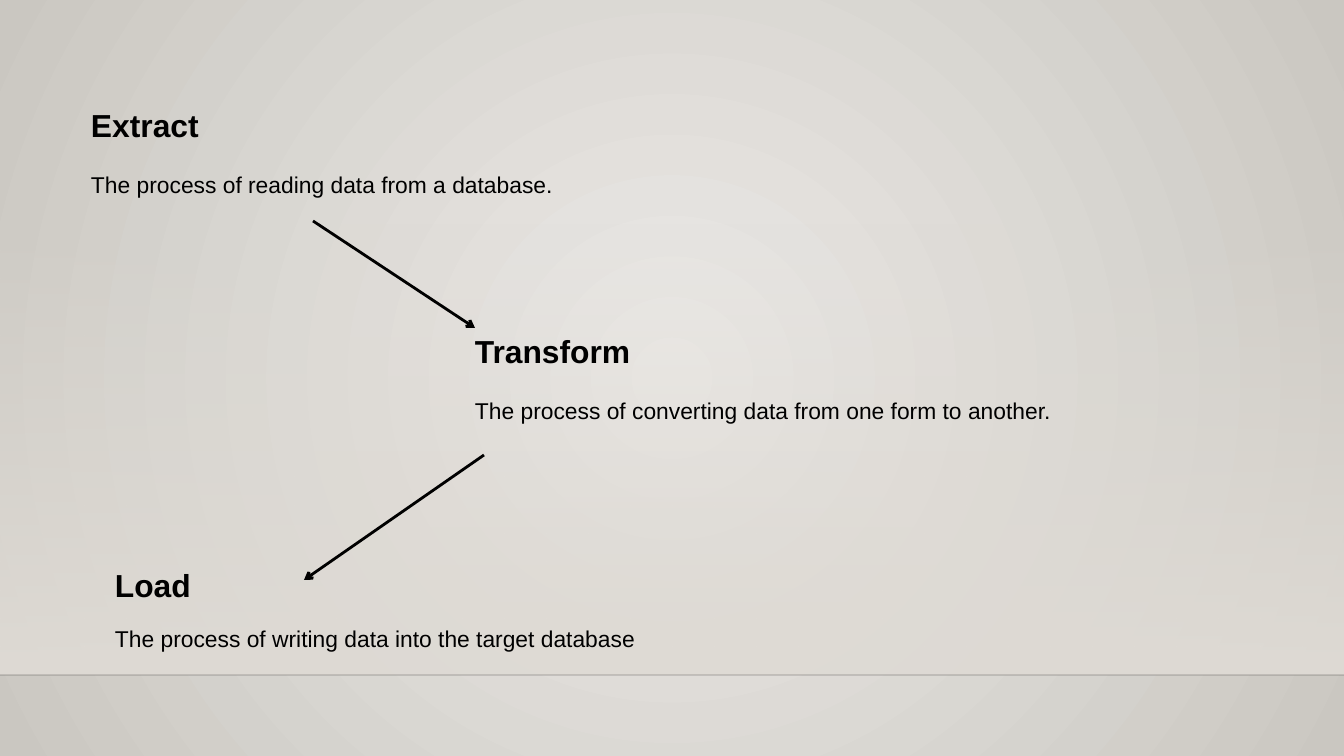
from dataclasses import dataclass

from lxml.etree import SubElement
from pptx import Presentation
from pptx.dml.color import RGBColor
from pptx.enum.shapes import MSO_CONNECTOR as Connector, MSO_SHAPE as Preset
from pptx.enum.text import MSO_AUTO_SIZE as AutoSize
from pptx.oxml import parse_xml
from pptx.oxml.ns import nsdecls, qn
from pptx.util import Emu, Pt

EMU_PER_PX = 914400 / 100.8
WIDTH, HEIGHT = 1344, 756
FLOOR_TOP, FLOOR_LINE = 223, 675
FONT, BLACK, SAND = "Arial", "000000", "DFDBD5"
HEADING_SIZE, DETAIL_SIZE, DETAIL_GAP = 22.7, 16.3, 18.7


@dataclass(frozen=True)
class Note:
    left: int
    top: int
    width: int
    height: int
    heading: str = ""
    detail: str = ""


@dataclass(frozen=True)
class Line:
    x1: int
    y1: int
    x2: int
    y2: int
    weight: float = 0
    opacity: int = 100
    arrow: bool = True


NOTES = [
    Note(82, 102, 485, 99, "Extract", "The process of reading data from a database."),
    Note(466, 328, 601, 99, "Transform", "The process of converting data from one form to another."),
    Note(106, 562, 95, 99, "Load"),
    Note(106, 621, 544, 35, detail="The process of writing data into the target database"),
]
ARROWS = [Line(313, 221, 475, 328), Line(484, 455, 304, 580)]


def px(length: int) -> Emu:
    return Emu(round(length * EMU_PER_PX))


def color(code: str) -> RGBColor:
    return RGBColor.from_string(code)


def gradient(start: str, end: str, direction: str, start_opacity: int = 100):
    return parse_xml(
        f'<a:gradFill {nsdecls("a")} rotWithShape="1"><a:gsLst>'
        f'<a:gs pos="0"><a:srgbClr val="{start}"><a:alpha val="{start_opacity * 1000}"/></a:srgbClr></a:gs>'
        f'<a:gs pos="100000"><a:srgbClr val="{end}"/></a:gs>'
        f"</a:gsLst>{direction}</a:gradFill>"
    )


def use_gradient(fill, parent, grad) -> None:
    fill.solid()
    solid = parent.find(".//" + qn("a:solidFill"))
    solid.getparent().replace(solid, grad)


def draw_background(page) -> None:
    center = '<a:path path="circle"><a:fillToRect l="50000" t="50000" r="50000" b="50000"/></a:path>'
    use_gradient(page.background.fill, page.element, gradient("ECEAE7", "CAC7C1", center))
    floor = page.shapes.add_shape(
        Preset.RECTANGLE, 0, px(FLOOR_TOP), px(WIDTH), px(FLOOR_LINE - FLOOR_TOP)
    )
    floor.shadow.inherit = False
    floor.line.fill.background()
    downward = '<a:lin ang="5400000" scaled="0"/>'
    use_gradient(floor.fill, floor.element.spPr, gradient(SAND, SAND, downward, 0))


def draw_line(page, line: Line) -> None:
    ends = [px(value) for value in (line.x1, line.y1, line.x2, line.y2)]
    connector = page.shapes.add_connector(Connector.STRAIGHT, *ends)
    connector.line.width = Pt(line.weight)
    connector.line.color.rgb = color(BLACK)
    outline = connector.line._get_or_add_ln()
    if line.opacity < 100:
        tint = outline.find(".//" + qn("a:srgbClr"))
        SubElement(tint, qn("a:alpha"), val=str(line.opacity * 1000))
    if line.arrow:
        SubElement(outline, qn("a:tailEnd"), type="arrow")
    SubElement(connector.element.spPr, qn("a:effectLst"))


def draw_note(page, note: Note) -> None:
    box = page.shapes.add_textbox(px(note.left), px(note.top), px(note.width), px(note.height))
    frame = box.text_frame
    frame.word_wrap = False
    frame.auto_size = AutoSize.SHAPE_TO_FIT_TEXT
    frame.margin_left = frame.margin_right = px(9)
    frame.margin_top = frame.margin_bottom = px(4)
    frame.text = "\n".join(filter(None, (note.heading, note.detail)))
    for para in frame.paragraphs:
        is_heading = para.text == note.heading
        if note.heading and not is_heading:
            para.space_before = Pt(DETAIL_GAP)
        for span in para.runs:
            span.font.name = FONT
            span.font.size = Pt(HEADING_SIZE if is_heading else DETAIL_SIZE)
            span.font.bold = is_heading
            span.font.color.rgb = color(BLACK)


def main() -> None:
    deck = Presentation()
    deck.slide_width, deck.slide_height = px(WIDTH), px(HEIGHT)
    page = deck.slides.add_slide(deck.slide_layouts[6])
    draw_background(page)
    draw_line(page, Line(0, FLOOR_LINE, WIDTH, FLOOR_LINE, weight=1, opacity=20, arrow=False))
    for note in NOTES:
        draw_note(page, note)
    for arrow in ARROWS:
        draw_line(page, arrow)
    deck.save("out.pptx")


if __name__ == "__main__":
    main()
